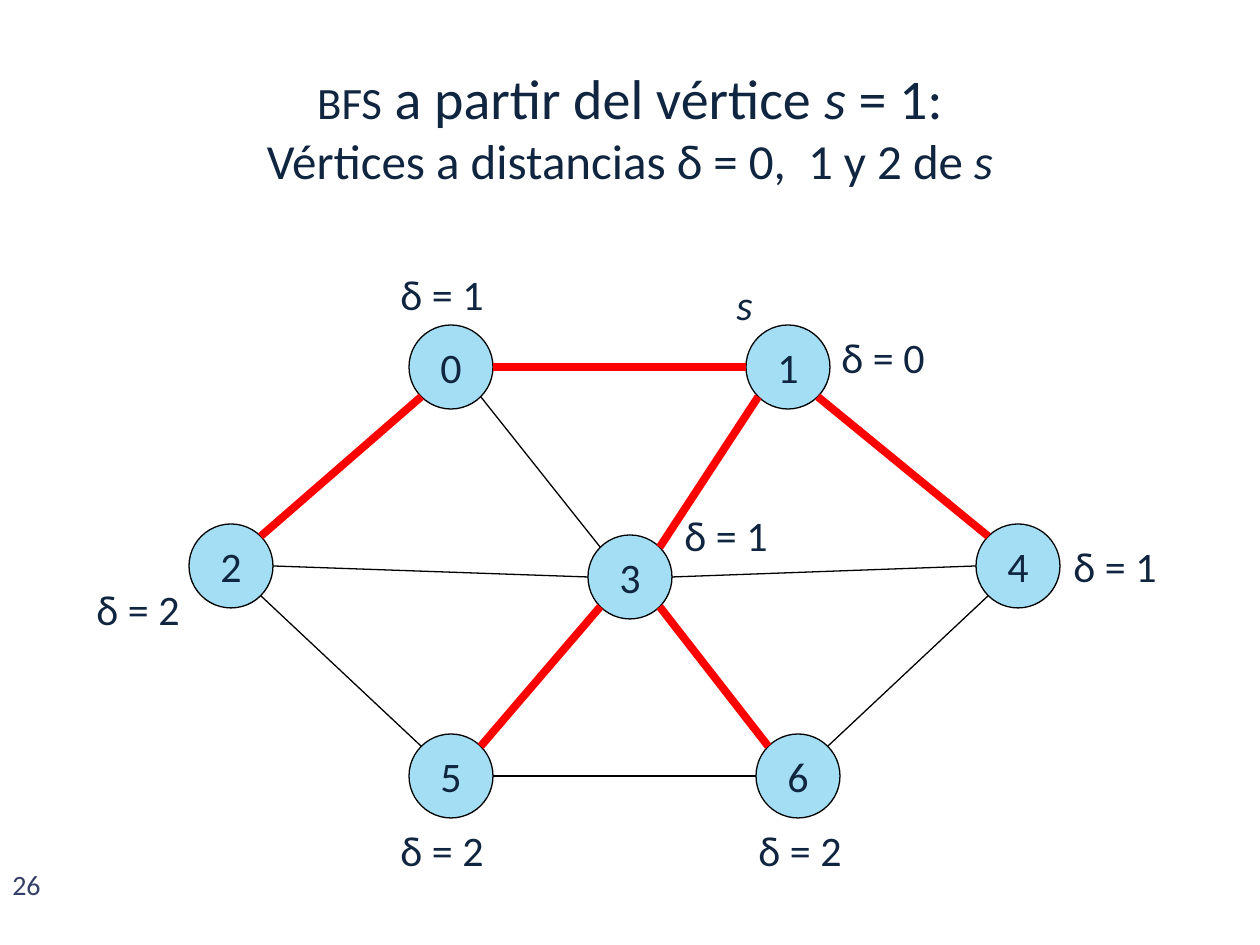
from math import atan2, cos, pi, sin

from pptx import Presentation
from pptx.dml.color import RGBColor
from pptx.enum.shapes import MSO_CONNECTOR, MSO_SHAPE
from pptx.enum.text import MSO_ANCHOR, MSO_AUTO_SIZE, PP_ALIGN
from pptx.oxml.ns import qn
from pptx.util import Emu, Inches, Pt
from lxml import etree

OVAL = MSO_SHAPE.OVAL
STRAIGHT = MSO_CONNECTOR.STRAIGHT
CENTER = PP_ALIGN.CENTER
MIDDLE = MSO_ANCHOR.MIDDLE
NO_FIT = MSO_AUTO_SIZE.NONE

NAVY = RGBColor(0x10, 0x25, 0x3F)
SLATE = RGBColor(0x34, 0x40, 0x68)
SKY = RGBColor(0xA4, 0xDE, 0xF4)
RED = RGBColor(0xFF, 0x00, 0x00)
BLACK = RGBColor(0x00, 0x00, 0x00)

SCALE = 914400 / 126
RADIUS = 42


def px(*values):
    """Turn pixels into EMU."""
    return [Emu(round(v * SCALE)) for v in values]


class Board:
    """Style and current slide."""

    font = "Calibri"
    size = 24

    def __init__(self, slide):
        """Keep the slide to draw on."""
        self.slide = slide
        self.shapes = slide.shapes

    def style(self, par, size, color=NAVY):
        """Set the font of a paragraph."""
        par.font.name = self.font
        par.font.size = Pt(size)
        par.font.color.rgb = color

    def title(self, box, lines):
        """Fill the title; each run is text plus a style letter."""
        head = self.shapes.title
        head.left, head.top, head.width, head.height = px(*box)
        frame = head.text_frame
        frame.auto_size = NO_FIT
        frame.vertical_anchor = MIDDLE
        for i, (size, runs) in enumerate(lines):
            par = frame.add_paragraph() if i else frame.paragraphs[0]
            par.alignment = CENTER
            self.style(par, size)
            for text, kind in runs:
                run = par.add_run()
                run.text = text
                if kind == "i":
                    run.font.italic = True
                elif kind == "caps":
                    run.font._element.set("cap", "small")

    def label(self, text, box, size=size, color=NAVY, italic=None):
        """Add one line of text."""
        frame = self.shapes.add_textbox(*px(*box)).text_frame
        frame.word_wrap = False
        par = frame.paragraphs[0]
        par.text = text
        self.style(par, size, color)
        par.font.italic = italic

    def node(self, text, x, y):
        """Add a round vertex centred at x, y."""
        side = 2 * RADIUS
        dot = self.shapes.add_shape(OVAL, *px(x - RADIUS, y - RADIUS, side, side))
        dot.shadow.inherit = False
        dot.fill.solid()
        dot.fill.fore_color.rgb = SKY
        dot.line.color.rgb = BLACK
        dot.line.width = Pt(0.75)
        frame = dot.text_frame
        frame.word_wrap = False
        frame.vertical_anchor = MIDDLE
        par = frame.paragraphs[0]
        par.text = text
        par.alignment = CENTER
        self.style(par, self.size)

    def edge(self, start, end, color, width):
        """Join two vertices at the nearest eighths of their rims."""
        turn = atan2(end[1] - start[1], end[0] - start[0])
        turn = round(turn / (pi / 4)) * pi / 4
        dx, dy = RADIUS * cos(turn), RADIUS * sin(turn)
        ends = px(start[0] + dx, start[1] + dy, end[0] - dx, end[1] - dy)
        line = self.shapes.add_connector(STRAIGHT, *ends)
        line.line.color.rgb = color
        line.line.width = Pt(width)
        etree.SubElement(line._element.spPr, qn("a:effectLst"))


NODES = [(451, 367), (788, 367), (231, 566), (630, 577),
         (1018, 566), (451, 776), (798, 776)]
TREE = [(0, 1), (1, 3), (3, 5), (3, 6), (2, 0), (1, 4)]
REST = [(0, 3), (3, 2), (3, 4), (2, 5), (4, 6), (6, 5)]
DELTAS = [(0, 829, 325), (1, 388, 262), (1, 672, 503), (1, 1061, 534),
          (2, 84, 577), (2, 388, 818), (2, 746, 818)]
TITLE = [
    (32, [("bfs", "caps"), (" a partir del vértice ", ""), ("s", "i"), (" = 1:", "")]),
    (28, [("Vértices a distancias δ = 0,  1 y 2 de ", ""), ("s", "i")]),
]


def main():
    """Build the slide."""
    deck = Presentation()
    deck.slide_width, deck.slide_height = Inches(10), Inches(7.5)
    board = Board(deck.slides.add_slide(deck.slide_layouts[5]))
    board.title((21, 42, 1218, 168), TITLE)
    board.label("26", (0, 861, 73, 53), 16, SLATE)
    for i, spot in enumerate(NODES):
        board.node(str(i), *spot)
    for pairs, color, width in ((TREE, RED, 4.5), (REST, BLACK, 0.75)):
        for a, b in pairs:
            board.edge(NODES[a], NODES[b], color, width)
    board.label("s", (724, 272, 52, 64), italic=True)
    for delta, x, y in DELTAS:
        board.label(f"δ = {delta}", (x, y, 110, 64))
    deck.save("out.pptx")


main()
